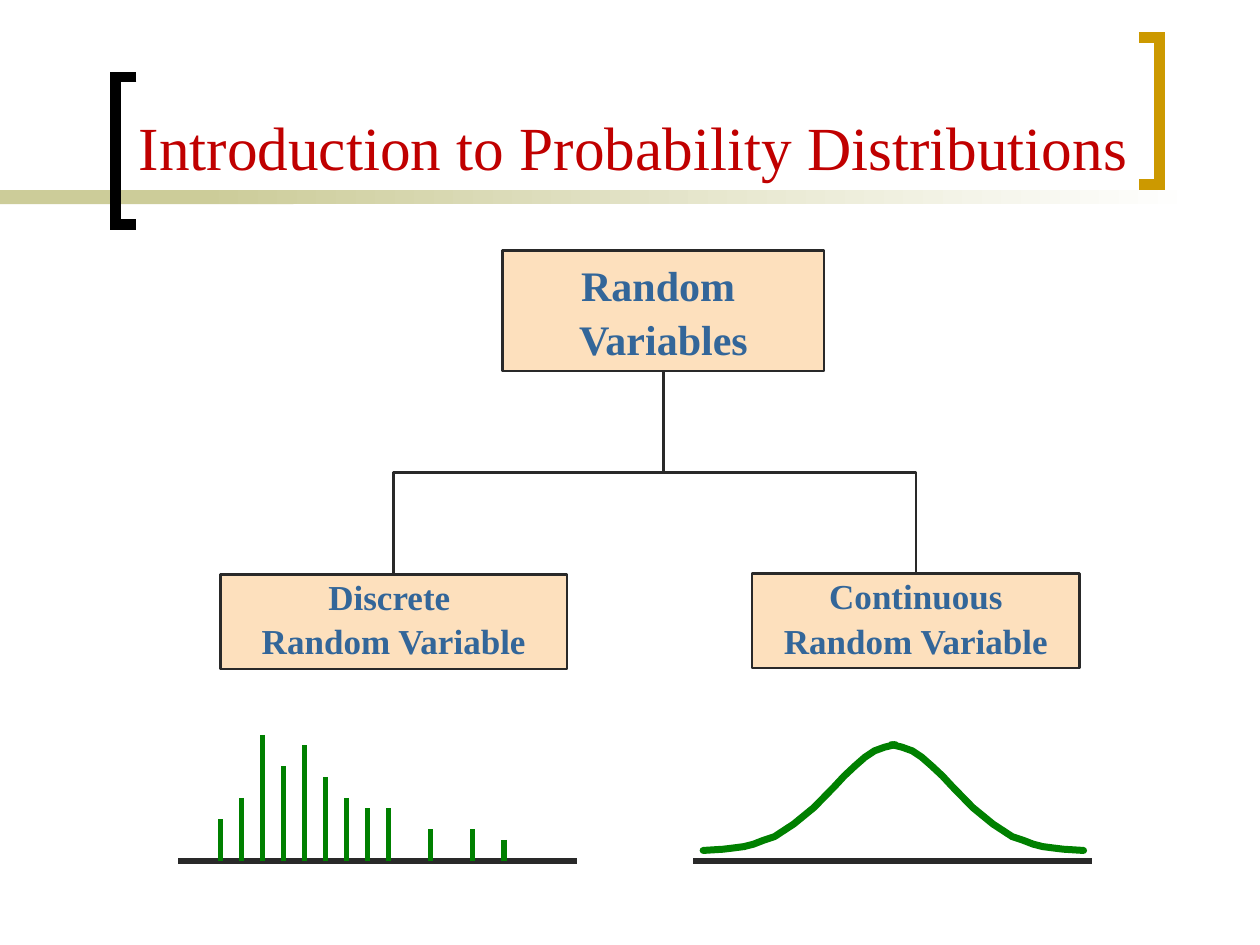
from lxml.etree import SubElement
from pptx import Presentation
from pptx.dml.color import RGBColor
from pptx.enum.shapes import MSO_CONNECTOR as LINK, MSO_SHAPE as SHAPE
from pptx.enum.text import MSO_ANCHOR as ANCHOR, MSO_AUTO_SIZE as FIT, PP_ALIGN as ALIGN
from pptx.oxml.ns import qn
from pptx.util import Pt

COLORS = {
    "title": "C00000", "label": "336699", "box": "FDE0BD", "ink": "292929",
    "graph": "008000", "band": "CCCC99", "paper": "FFFFFF",
    "left_bracket": "000000", "right_bracket": "CC9900",
}


def rgb(name):
    return RGBColor.from_string(COLORS[name])


def apply(target, formats):
    for key, value in formats.items():
        setattr(target, key, value)


class SlideBuilder:
    font_name = "Times New Roman"
    frame = {
        "margin_left": Pt(7.2), "margin_right": Pt(7.2),
        "margin_top": Pt(3.6), "margin_bottom": Pt(3.6),
        "word_wrap": True,
    }

    def __init__(self, slide):
        self.slide = slide
        self.shapes = slide.shapes

    def stroke(self, shape, color, width):
        shape.line.color.rgb = rgb(color)
        shape.line.width = Pt(width)

    def style_font(self, font, color, size, bold=False):
        apply(font, {"name": self.font_name, "size": Pt(size), "bold": bold})
        font.color.rgb = rgb(color)

    def title(self, text, left, top, width, height):
        title = self.shapes.title
        apply(title, {"left": Pt(left), "top": Pt(top),
                      "width": Pt(width), "height": Pt(height)})
        apply(title.text_frame, {**self.frame, "auto_size": FIT.NONE,
                                 "vertical_anchor": ANCHOR.BOTTOM})
        title.text_frame.text = text
        heading = title.text_frame.paragraphs[0]
        heading.alignment = ALIGN.LEFT
        self.style_font(heading.runs[0].font, "title", 35)

    def rectangle(self, left, top, width, height):
        rectangle = self.shapes.add_shape(
            SHAPE.RECTANGLE, Pt(left), Pt(top), Pt(width), Pt(height))
        rectangle.shadow.inherit = False
        return rectangle

    def band(self, left, top, width, height, fade_to=None):
        band = self.rectangle(left, top, width, height)
        band.line.fill.background()
        if fade_to is None:
            band.fill.solid()
            band.fill.fore_color.rgb = rgb("band")
            return
        band.fill.gradient()
        band.fill.gradient_angle = 0
        for stop, position, color in zip(band.fill.gradient_stops, (0, 1), ("band", fade_to)):
            stop.position = position
            stop.color.rgb = rgb(color)

    def box(self, place, lines, size, spacings):
        box = self.rectangle(*place)
        box.fill.solid()
        box.fill.fore_color.rgb = rgb("box")
        self.stroke(box, "ink", 1.5)
        frame = box.text_frame
        apply(frame, {**self.frame, "vertical_anchor": ANCHOR.MIDDLE,
                      "auto_size": FIT.SHAPE_TO_FIT_TEXT})
        frame.text = "\n".join(lines)
        for paragraph, spacing in zip(frame.paragraphs, spacings):
            apply(paragraph, {"alignment": ALIGN.CENTER, "line_spacing": spacing})
            # Space before is half a line
            before = paragraph._p.get_or_add_pPr().get_or_add_spcBef()
            SubElement(before, qn("a:spcPct")).set("val", "50000")
            self.style_font(paragraph.runs[0].font, "label", size, True)
        return box

    def outline(self, points, color, width, join="round", cap="flat"):
        corners = [(Pt(x), Pt(y)) for x, y in points]
        builder = self.shapes.build_freeform(*corners[0], scale=1.0)
        builder.add_line_segments(corners[1:], close=False)
        outline = builder.convert_to_shape()
        outline.shadow.inherit = False
        outline.fill.background()
        self.stroke(outline, color, width)
        line = outline.line._get_or_add_ln()
        line.set("cap", cap)
        SubElement(line, qn(f"a:{join}"))

    def connector(self, kind, start, end, color, width):
        connector = self.shapes.add_connector(kind, *start, *end)
        self.stroke(connector, color, width)
        SubElement(connector._element.spPr, qn("a:effectLst"))
        return connector

    def line(self, x1, y1, x2, y2, color):
        self.connector(LINK.STRAIGHT, (Pt(x1), Pt(y1)), (Pt(x2), Pt(y2)), color, 3)

    def branch(self, parent, child):
        """Elbow from the parent's bottom to the child's top, turned to run vertically."""
        x1, y1 = parent.left + parent.width // 2, parent.top + parent.height
        x2, y2 = child.left + child.width // 2, child.top
        branch = self.connector(LINK.ELBOW, (x1, y1), (x2, y2), "ink", 1.5)
        branch.begin_connect(parent, 2)
        branch.end_connect(child, 0)
        run, drop = abs(x2 - x1), y2 - y1
        apply(branch, {"left": (x1 + x2 - drop) // 2, "top": (y1 + y2 - run) // 2,
                       "width": drop, "height": run})
        transform = branch._element.spPr.find(qn("a:xfrm"))
        for flip in ("flipH", "flipV"):
            transform.attrib.pop(flip, None)
        transform.set("rot", "5400000" if x2 < x1 else "16200000")
        if x2 > x1:
            transform.set("flipH", "1")


def main():
    deck = Presentation()
    apply(deck, {"slide_width": Pt(720), "slide_height": Pt(540)})
    page = SlideBuilder(deck.slides.add_slide(deck.slide_layouts[5]))

    # Title with its band and brackets
    page.band(0, 108.72, 167.76, 7.92)
    page.band(113.76, 108.72, 570.24, 7.92, fade_to="paper")
    for open_x, spine_x, top, color in ((78, 66.1, 44, "left_bracket"),
                                        (650.8, 662.6, 21.4, "right_bracket")):
        bottom = top + 84.2
        page.outline([(open_x, top), (spine_x, top), (spine_x, bottom), (open_x, bottom)],
                     color, 6, join="miter")
    page.title("Introduction to Probability Distributions", 72, 18, 660, 90)

    # Tree of variable kinds
    root = page.box((287.3, 143.1, 183.6, 69), ("Random ", "Variables"), 24, (1.0, 0.6))
    discrete = page.box((126, 328.3, 198, 54), ("Discrete ", "Random Variable"), 20, (0.8, 0.6))
    continuous = page.box((429.8, 327.8, 187.2, 54), ("Continuous", "Random Variable"),
                          20, (0.8, 0.6))
    for kind in (discrete, continuous):
        page.branch(root, kind)

    # Axes of both graphs
    axis_y = 492
    for axis_x in (102, 396):
        page.line(axis_x, axis_y, axis_x + 228, axis_y, "ink")

    # Bell curve: one half and its mirror image
    center_x = 510.5
    half_curve = [(108.7, 486), (97.2, 485.3), (91.4, 484.6), (85.3, 483.8), (79.9, 482.4),
                  (74.2, 480.2), (67.9, 478.1), (56.9, 470.9), (45.4, 461.5), (33.5, 449.3),
                  (28.1, 443.5), (22, 437.8), (16.2, 432.7), (10.8, 429.1), (5, 427),
                  (-1.1, 425.5)]
    for side in (1, -1):
        page.outline([(center_x + side * dx, y) for dx, y in half_curve],
                     "graph", 4, cap="rnd")

    # Discrete probabilities
    bar_xs = [126 + 12 * step for step in range(9)] + [246, 270, 288]
    bar_heights = [24, 36, 72, 54, 66, 48, 36, 30, 30, 18, 18, 12]
    for x, height in zip(bar_xs, bar_heights):
        page.line(x, axis_y - height, x, axis_y, "graph")

    deck.save("out.pptx")


if __name__ == "__main__":
    main()
